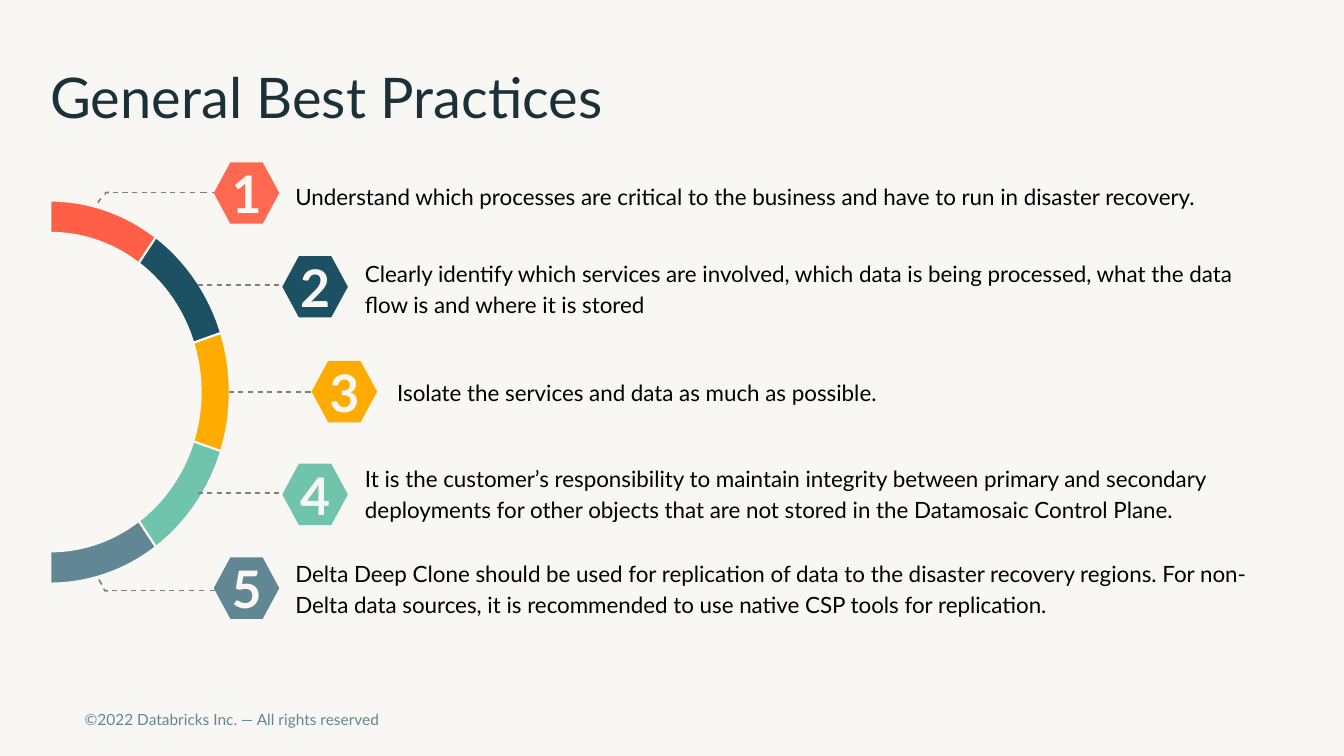
from math import ceil, cos, radians, sin

from lxml.etree import SubElement
from pptx import Presentation
from pptx.dml.color import RGBColor
from pptx.enum.shapes import MSO_CONNECTOR, MSO_SHAPE
from pptx.enum.text import MSO_ANCHOR, MSO_AUTO_SIZE, PP_ALIGN
from pptx.oxml.ns import qn
from pptx.util import Inches, Pt

COLORS = {
    "paper": "F9F7F4", "title": "1B3139", "text": "000000",
    "footer": "618794", "leader": "7F7F7F",
    "red": "FF5F46", "coral": "FF6952", "navy": "1B5162",
    "amber": "FFAB00", "mint": "70C4AB", "slate": "618794",
}
RING_COLORS = ["red", "navy", "amber", "mint", "slate"]
DASH, DASH_PERIOD = 0.05, 0.095

# Hexagon color, hexagon corner, text box, leader height, dashed spans,
# bend of the leader towards the ring (corner and last dash), text
PRACTICES = [
    ("coral", (2.12, 1.61), (2.8, 1.5, 10.04, 0.86),
     1.91, [(1.93, 1.12), (2.03, 1.98), (2.15, 2.01)],
     [[(1.08, 1.91), (1.05, 1.91), (1.04, 1.93)], [(1, 1.97), (0.97, 2.01)]],
     "Understand which processes are critical to the business and have to run "
     "in disaster recovery."),
    ("navy", (2.8, 2.54), (3.49, 2.41, 9, 0.87),
     2.83, [(1.96, 2.84)], [],
     "Clearly identify which services are involved, which data is being "
     "processed, what the data flow is and where it is stored"),
    ("amber", (3.09, 3.58), (3.81, 3.44, 7.21, 0.87),
     3.89, [(2.27, 3.14)], [],
     "Isolate the services and data as much as possible."),
    ("mint", (2.8, 4.6), (3.49, 4.45, 9.35, 0.87),
     4.89, [(1.96, 2.84)], [],
     "It is the customer’s responsibility to maintain integrity between primary "
     "and secondary deployments for other objects that are not stored in the "
     "Datamosaic Control Plane."),
    ("slate", (2.12, 5.53), (2.8, 5.39, 10.04, 0.87),
     5.86, [(1.92, 1.11), (2.02, 1.97), (2.13, 2.08)],
     [[(1.07, 5.86), (1.04, 5.86), (1.03, 5.84)], [(1.01, 5.8), (0.98, 5.75)]],
     "Delta Deep Clone should be used for replication of data to the disaster "
     "recovery regions. For non-Delta data sources, it is recommended to use "
     "native CSP tools for replication."),
]


def rgb(name):
    return RGBColor.from_string(COLORS[name])


def write(sp, text, size, color, bold=False, align=PP_ALIGN.LEFT,
          anchor=MSO_ANCHOR.MIDDLE, margin=0.0, spacing=1.0, wrap=True):
    tf = sp.text_frame
    tf.word_wrap = wrap
    tf.auto_size = MSO_AUTO_SIZE.NONE
    tf.vertical_anchor = anchor
    tf.margin_left = tf.margin_right = Inches(margin)
    tf.margin_top = tf.margin_bottom = Inches(margin)
    p = tf.paragraphs[0]
    p.alignment = align
    p.line_spacing = spacing
    r = p.add_run()
    r.text = text
    r.font.name = "Lato"
    r.font.size = Pt(size)
    r.font.bold = bold
    r.font.color.rgb = rgb(color)


def add_text(s, box, text, size, color, **fmt):
    sp = s.shapes.add_textbox(*map(Inches, box))
    write(sp, text, size, color, margin=0.13, **fmt)


def add_path(s, points, closed):
    points = [(Inches(x), Inches(y)) for x, y in points]
    builder = s.shapes.build_freeform(*points[0])
    builder.add_line_segments(points[1:], close=closed)
    sp = builder.convert_to_shape()
    sp.shadow.inherit = False
    return sp


def add_title(s, box):
    sp = s.shapes.title
    sp.left, sp.top, sp.width, sp.height = map(Inches, box)
    write(sp, "General Best Practices", 40, "title", spacing=0.9)


def add_ring(s, box, thick_x, thick_y):
    """Right half of a ring, split into equal segments from top to bottom."""
    left, top, rx, height = box
    ry = height / 2
    sweep = 180 / len(RING_COLORS)
    steps = 24

    def arc(start, rx, ry):
        angles = [radians(start + sweep * i / steps) for i in range(steps + 1)]
        return [(left + rx * cos(a), top + height / 2 + ry * sin(a))
                for a in angles]

    for i, color in enumerate(RING_COLORS):
        start = -90 + i * sweep
        inner = arc(start, rx - thick_x, ry - thick_y)
        sp = add_path(s, arc(start, rx, ry) + inner[::-1], True)
        sp.fill.solid()
        sp.fill.fore_color.rgb = rgb(color)
        sp.line.color.rgb = rgb("paper")
        sp.line.width = Pt(1.5)


def add_stroke(s, points):
    if len(points) == 2:
        ends = [Inches(v) for point in points for v in point]
        sp = s.shapes.add_connector(MSO_CONNECTOR.STRAIGHT, *ends)
        SubElement(sp._element.spPr, qn("a:effectLst"))
    else:
        sp = add_path(s, points, False)
        sp.fill.background()
    sp.line.color.rgb = rgb("leader")
    sp.line.width = Pt(1.13)


def add_leader(s, y, spans, bend):
    for start, end in spans:
        length = abs(end - start)
        sign = 1 if end > start else -1
        for i in range(ceil(length / DASH_PERIOD)):
            near = i * DASH_PERIOD
            far = min(near + DASH, length)
            add_stroke(s, [(start + sign * near, y), (start + sign * far, y)])
    for points in bend:
        add_stroke(s, points)


def add_hexagon(s, box, number, color):
    sp = s.shapes.add_shape(MSO_SHAPE.HEXAGON, *map(Inches, box))
    sp.adjustments[0] = 0.27
    sp.shadow.inherit = False
    sp.fill.solid()
    sp.fill.fore_color.rgb = rgb(color)
    sp.line.fill.background()
    write(sp, str(number), 37, "paper", bold=True, align=PP_ALIGN.CENTER,
          wrap=False)


def add_practice(s, number, color, corner, text_box, y, spans, bend, text):
    add_leader(s, y, spans, bend)
    add_hexagon(s, (*corner, 0.65, 0.61), number, color)
    add_text(s, text_box, text, 16, "text", spacing=1.15)


def main():
    prs = Presentation()
    prs.slide_width, prs.slide_height = Inches(13.33), Inches(7.5)
    s = prs.slides.add_slide(prs.slide_layouts[5])
    s.background.fill.solid()
    s.background.fill.fore_color.rgb = rgb("paper")

    # Title and footer
    add_title(s, (0.5, 0.5, 12.3, 1))
    add_text(s, (0.71, 6.91, 5.88, 0.45),
             "©2022 Databricks Inc. — All rights reserved", 11, "footer",
             anchor=MSO_ANCHOR.TOP)

    # Half ring and numbered practices
    add_ring(s, (0.5, 1.99, 1.78, 3.8), 0.29, 0.32)
    for number, practice in enumerate(PRACTICES, 1):
        add_practice(s, number, *practice)

    prs.save("out.pptx")


if __name__ == "__main__":
    main()
